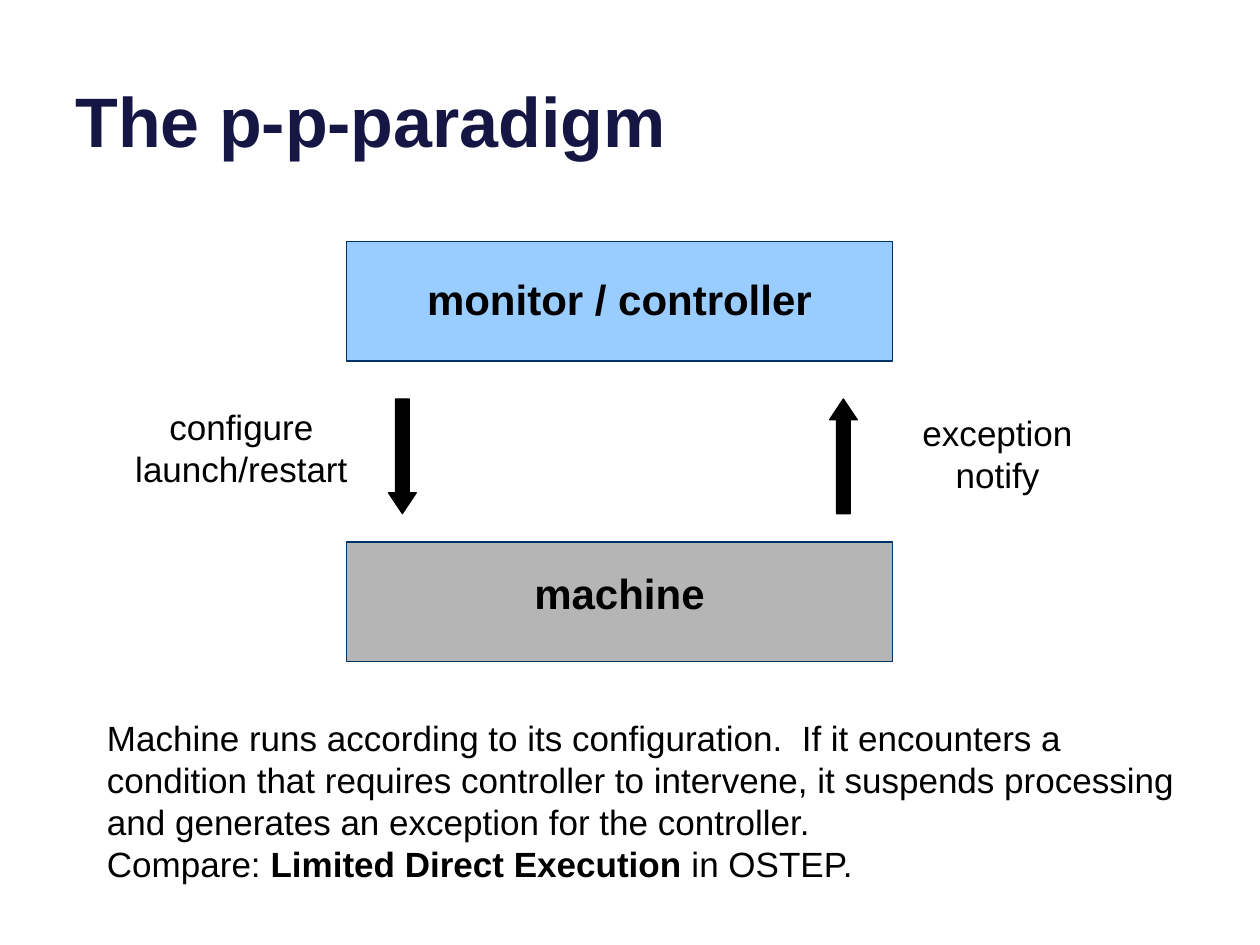
from dataclasses import dataclass
from typing import NamedTuple

from pptx import Presentation
from pptx.dml.color import RGBColor
from pptx.enum.shapes import MSO_SHAPE
from pptx.enum.text import MSO_ANCHOR, PP_ALIGN
from pptx.util import Inches, Pt

COLS, ROWS = 120, 90
WIDE, HIGH = Inches(10), Inches(7.5)


@dataclass(frozen=True)
class Theme:
    font: str = "Arial"
    title: str = "161645"
    ink: str = "000000"
    edge: str = "003367"
    sky: str = "99CCFF"
    gray: str = "B5B5B5"
    big: int = 40
    mid: int = 24
    small: int = 20


class Area(NamedTuple):
    """Place on the grid, in columns and rows."""
    col: float
    row: float
    cols: float
    rows: float

    def emu(self) -> tuple[int, int, int, int]:
        return (round(self.col * WIDE / COLS), round(self.row * HIGH / ROWS),
                round(self.cols * WIDE / COLS), round(self.rows * HIGH / ROWS))


class Part(NamedTuple):
    text: str
    bold: bool = False


class Note(NamedTuple):
    area: Area
    lines: list[list[Part]]
    size: int
    align: PP_ALIGN = PP_ALIGN.CENTER
    color: str = Theme.ink
    anchor: MSO_ANCHOR = MSO_ANCHOR.TOP


class Form(NamedTuple):
    kind: MSO_SHAPE
    area: Area
    fill: str
    edge: str
    width: float
    adjust: tuple[float, ...] = ()


def draw_form(slide, form: Form) -> None:
    shape = slide.shapes.add_shape(form.kind, *form.area.emu())
    shape.shadow.inherit = False
    shape.fill.solid()
    shape.fill.fore_color.rgb = RGBColor.from_string(form.fill)
    shape.line.color.rgb = RGBColor.from_string(form.edge)
    shape.line.width = Pt(form.width)
    for i, value in enumerate(form.adjust):
        shape.adjustments[i] = value


def draw_note(slide, note: Note, theme: Theme) -> None:
    frame = slide.shapes.add_textbox(*note.area.emu()).text_frame
    frame.word_wrap = True
    frame.vertical_anchor = note.anchor
    for i, line in enumerate(note.lines):
        para = frame.add_paragraph() if i else frame.paragraphs[0]
        para.alignment = note.align
        for part in line:
            run = para.add_run()
            run.text = part.text
            run.font.name = theme.font
            run.font.size = Pt(note.size)
            run.font.bold = part.bold
            run.font.color.rgb = RGBColor.from_string(note.color)


def main() -> None:
    theme = Theme()
    deck = Presentation()
    deck.slide_width, deck.slide_height = WIDE, HIGH
    slide = deck.slides.add_slide(deck.slide_layouts[6])

    blocks = [(23, theme.sky), (51.6, theme.gray)]
    arrows = [(MSO_SHAPE.UP_ARROW, 79), (MSO_SHAPE.DOWN_ARROW, 37)]
    forms = [Form(MSO_SHAPE.FLOWCHART_PROCESS, Area(33, row, 52, 11.4),
                  fill, theme.edge, 1) for row, fill in blocks]
    forms += [Form(kind, Area(col, 38, 2.64, 10.92),
                   theme.ink, theme.ink, 0.75, (0.5, 0.75))
              for kind, col in arrows]

    names = [("monitor / controller", 25.5), ("machine", 53.5)]
    notes = [Note(Area(31, row, 56, 6.12), [[Part(name, True)]], theme.mid)
             for name, row in names]
    notes += [
        Note(Area(6, -4.4, 108, 20.4), [[Part("The p-p-paradigm", True)]],
             theme.big, PP_ALIGN.LEFT, theme.title, MSO_ANCHOR.BOTTOM),
        Note(Area(2, 38, 42, 9.36),
             [[Part("configure")], [Part("launch/restart")]], theme.small),
        Note(Area(84, 38.6, 22, 9.36), [[Part("exception notify")]],
             theme.small),
        Note(Area(9, 67.6, 106, 17.4), [
            [Part("Machine runs according to its configuration.  If it "
                  "encounters a condition that requires controller to "
                  "intervene, it suspends processing and generates an "
                  "exception for the controller.")],
            [Part("Compare: "), Part("Limited Direct Execution", True),
             Part(" in OSTEP.")],
        ], theme.small, PP_ALIGN.LEFT),
    ]

    for form in forms:
        draw_form(slide, form)
    for note in notes:
        draw_note(slide, note, theme)
    deck.save("out.pptx")


if __name__ == "__main__":
    main()
